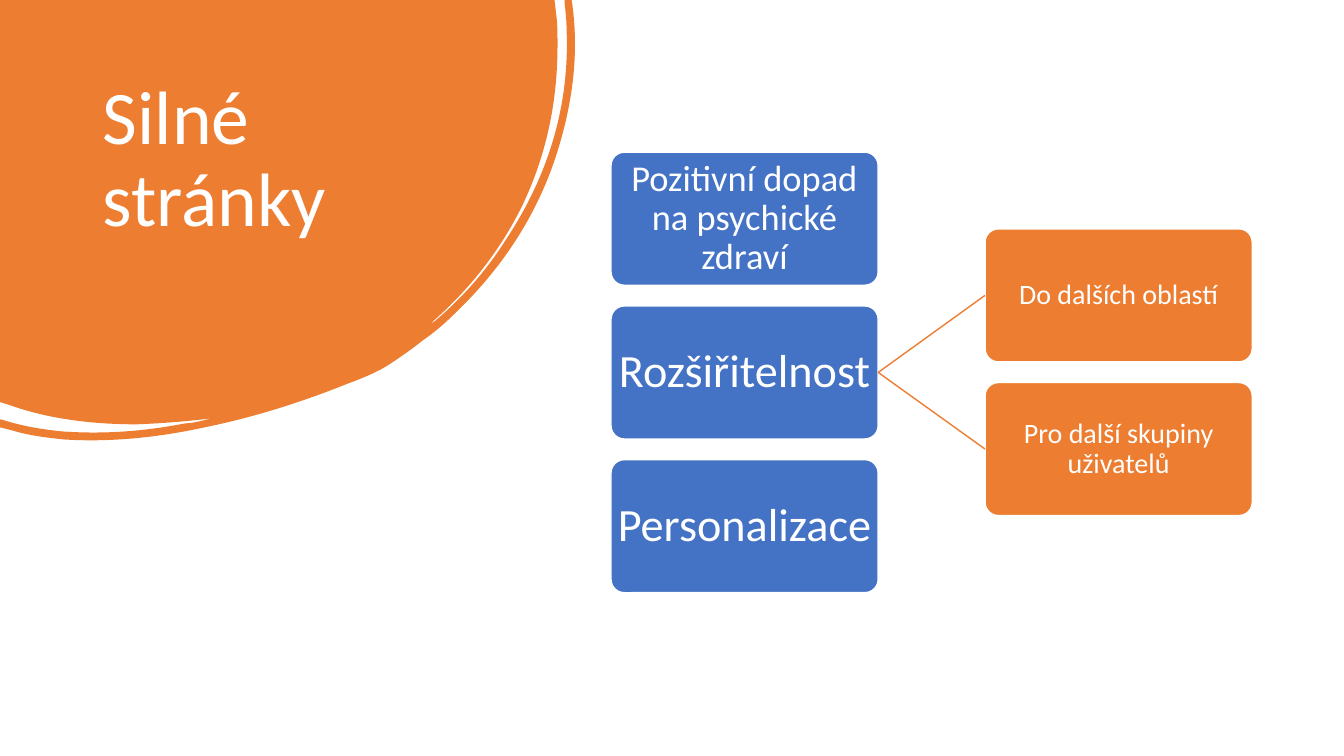
from lxml import etree
from pptx import Presentation
from pptx.dml.color import RGBColor
from pptx.enum import shapes, text
from pptx.oxml import ns
from pptx.util import Inches, Pt

HEX = {"orange": "ED7D31", "blue": "4472C4", "white": "FFFFFF"}
FONT = "Calibri"
WIDE, HIGH, STEP = 2.65, 1.32, 3.05 / 2

BLOB = [
    (0, 0), (5.5, 0), (5.52, 0.17),
    (5.53, 0.26, 5.53, 0.36, 5.53, 0.45),
    (5.53, 1.01, 5.42, 1.54, 5.18, 2.04),
    (4.96, 2.49, 4.65, 2.88, 4.27, 3.21),
    (4.29, 3.21, 4.3, 3.19, 4.32, 3.18),
    (4.59, 2.95, 4.82, 2.69, 5.01, 2.39),
    (5.43, 1.76, 5.65, 1.07, 5.62, 0.3),
    (5.62, 0.21, 5.61, 0.12, 5.6, 0.03),
    (5.6, 0), (5.67, 0), (5.68, 0.07),
    (5.74, 0.54, 5.68, 1.02, 5.53, 1.5),
    (5.33, 2.14, 4.97, 2.68, 4.48, 3.14),
    (4.39, 3.23, 4.29, 3.31, 4.19, 3.38),
    (4.09, 3.46, 3.99, 3.53, 3.87, 3.61),
    (3.75, 3.69, 3.6, 3.75, 3.44, 3.81),
    (2.99, 3.99, 2.52, 4.14, 2.03, 4.24),
    (1.57, 4.34, 1.1, 4.39, 0.63, 4.36),
    (0.45, 4.34, 0.28, 4.32, 0.12, 4.27),
    (0, 4.24), (0, 4.16), (0.04, 4.17),
    (0.23, 4.23, 0.42, 4.26, 0.61, 4.28),
    (1.03, 4.31, 1.43, 4.28, 1.84, 4.2),
    (1.89, 4.2, 1.93, 4.19, 1.98, 4.18),
    (2.02, 4.17, 2.06, 4.16, 2.1, 4.15),
    (1.86, 4.18, 1.61, 4.2, 1.36, 4.21),
    (0.92, 4.21, 0.48, 4.16, 0.07, 4.01),
    (0, 3.99),
]


def color(name):
    return RGBColor.from_string(HEX[name])


def bend(shape, segments):
    lines = list(shape._element.iter(ns.qn("a:lnTo")))
    for line, segment in zip(lines, segments):
        if len(segment) == 2:
            continue
        line.tag_name = None
        curve = etree.Element(ns.qn("a:cubicBezTo"))
        for x, y in zip(segment[::2], segment[1::2]):
            etree.SubElement(curve, ns.qn("a:pt"),
                             x=str(Inches(x)), y=str(Inches(y)))
        line.getparent().replace(line, curve)


def add_blob(slide):
    ends = [(Inches(part[-2]), Inches(part[-1])) for part in BLOB]
    pen = slide.shapes.build_freeform(*ends[0])
    pen.add_line_segments(ends[1:], close=True)
    blob = pen.convert_to_shape()
    bend(blob, BLOB[1:])
    blob.width, blob.height = Inches(5.71), Inches(4.37)
    outline = next(blob._element.iter(ns.qn("a:path")))
    outline.set("w", str(blob.width))
    outline.set("h", str(blob.height))
    blob.shadow.inherit = False
    blob.fill.solid()
    blob.fill.fore_color.rgb = color("orange")
    blob.line.fill.background()


def write(frame, words, size, align):
    frame.word_wrap = True
    para = frame.paragraphs[0]
    para.alignment = align
    para.line_spacing = 0.9
    run = para.add_run()
    run.text = words
    run.font.name = FONT
    run.font.size = Pt(size)
    run.font.color.rgb = color("white")


def add_title(slide, words):
    box = slide.shapes.add_textbox(
        Inches(0.92), Inches(0.74), Inches(3.52), Inches(2.22))
    write(box.text_frame, words, 54, text.PP_ALIGN.LEFT)


def add_card(slide, left, top, words, size, fill):
    card = slide.shapes.add_shape(
        shapes.MSO_SHAPE.ROUNDED_RECTANGLE,
        Inches(left), Inches(top), Inches(WIDE), Inches(HIGH))
    card.adjustments[0] = 0.1
    card.shadow.inherit = False
    card.fill.solid()
    card.fill.fore_color.rgb = color(fill)
    card.line.color.rgb = color("white")
    card.line.width = Pt(1)
    frame = card.text_frame
    frame.margin_left = frame.margin_right = Inches(0.01)
    frame.margin_top = frame.margin_bottom = Inches(0.01)
    frame.vertical_anchor = text.MSO_ANCHOR.MIDDLE
    write(frame, words, size, text.PP_ALIGN.CENTER)
    return card


def add_column(slide, left, top, items, fill):
    return [add_card(slide, left, top + row * STEP, words, size, fill)
            for row, (words, size) in enumerate(items)]


def add_link(slide, source, target):
    link = slide.shapes.add_connector(
        shapes.MSO_CONNECTOR.STRAIGHT, 0, 0, 0, 0)
    link.begin_connect(source, 3)
    link.end_connect(target, 1)
    link.line.color.rgb = color("orange")
    link.line.width = Pt(1)
    etree.SubElement(link._element.spPr, ns.qn("a:effectLst"))


def main():
    deck = Presentation()
    deck.slide_width = Inches(13.33)
    deck.slide_height = Inches(7.5)
    slide = deck.slides.add_slide(deck.slide_layouts[6])
    add_blob(slide)
    add_title(slide, "Silné stránky")
    strengths = add_column(slide, 6.06, 1.51, [
        ("Pozitivní dopad na psychické zdraví", 26),
        ("Rozšiřitelnost", 33),
        ("Personalizace", 33),
    ], "blue")
    targets = add_column(slide, 9.77, 2.27, [
        ("Do dalších oblastí", 20),
        ("Pro další skupiny uživatelů", 20),
    ], "orange")
    for target in targets:
        add_link(slide, strengths[1], target)
    deck.save("out.pptx")


if __name__ == "__main__":
    main()
